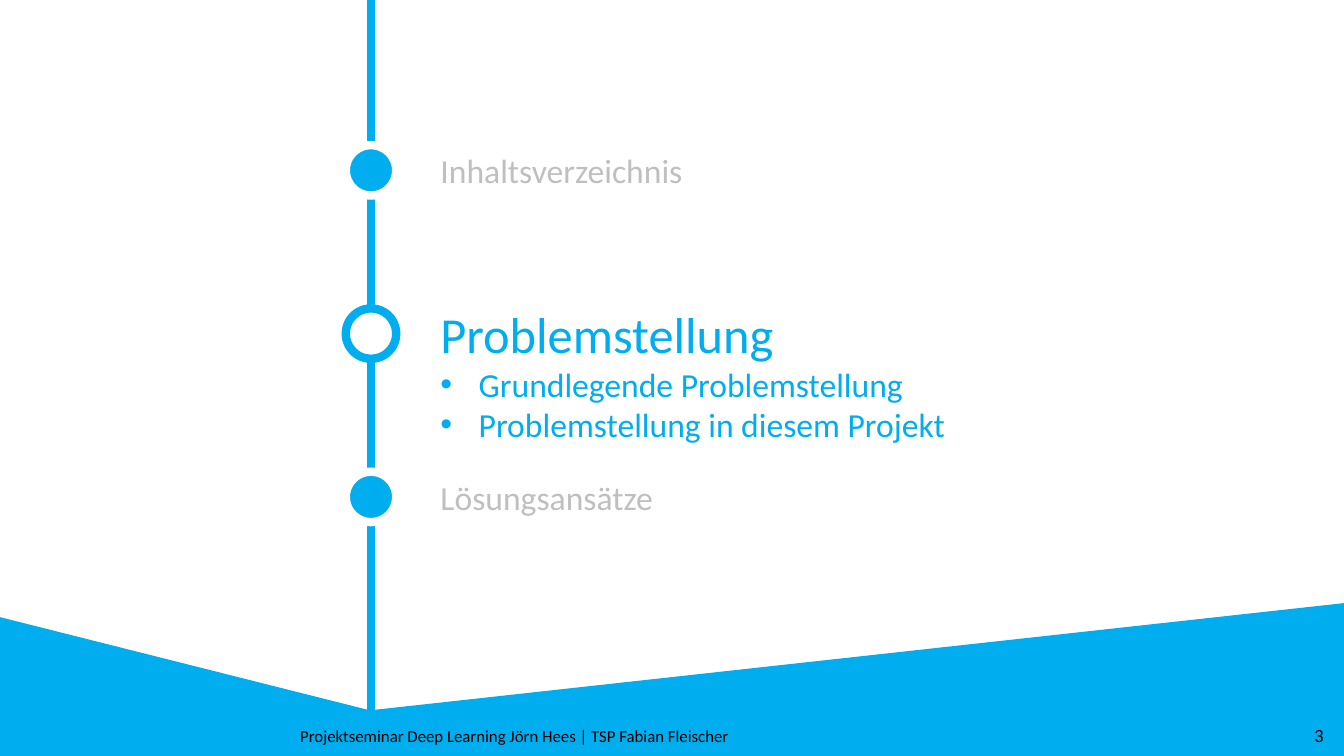
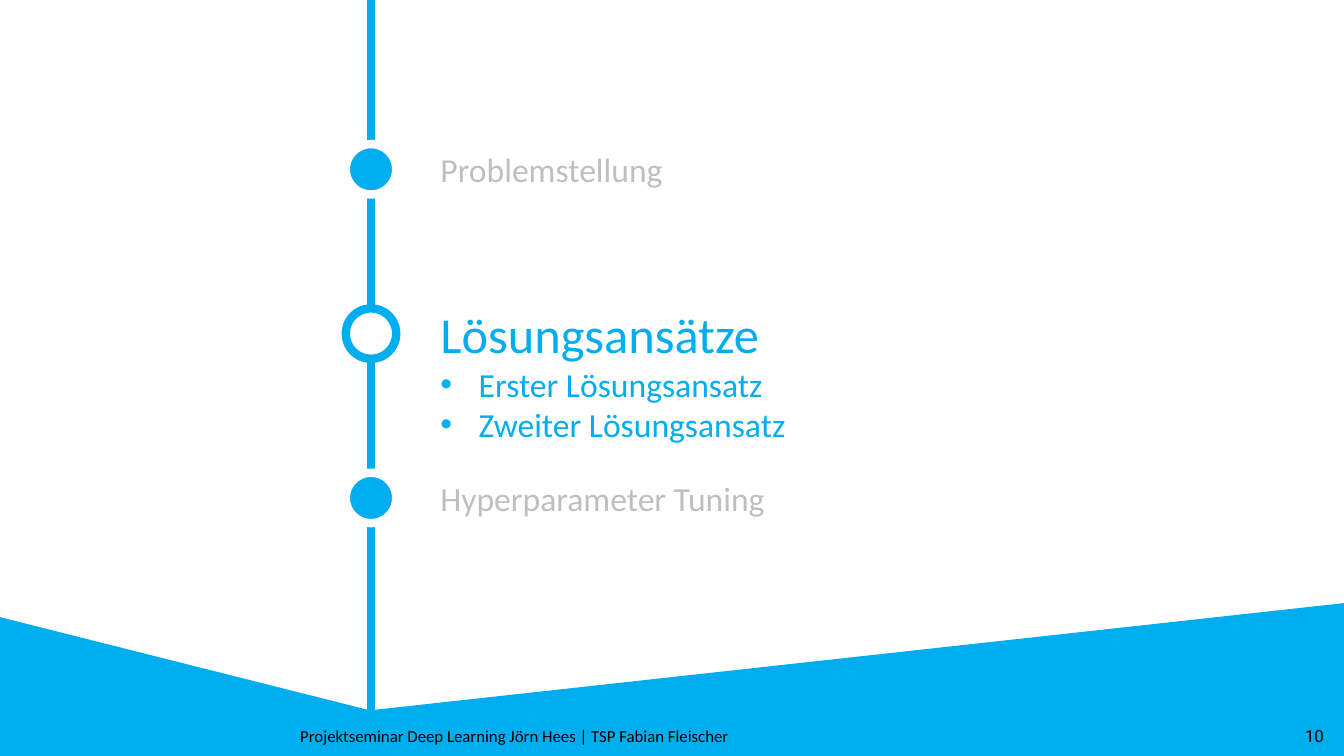
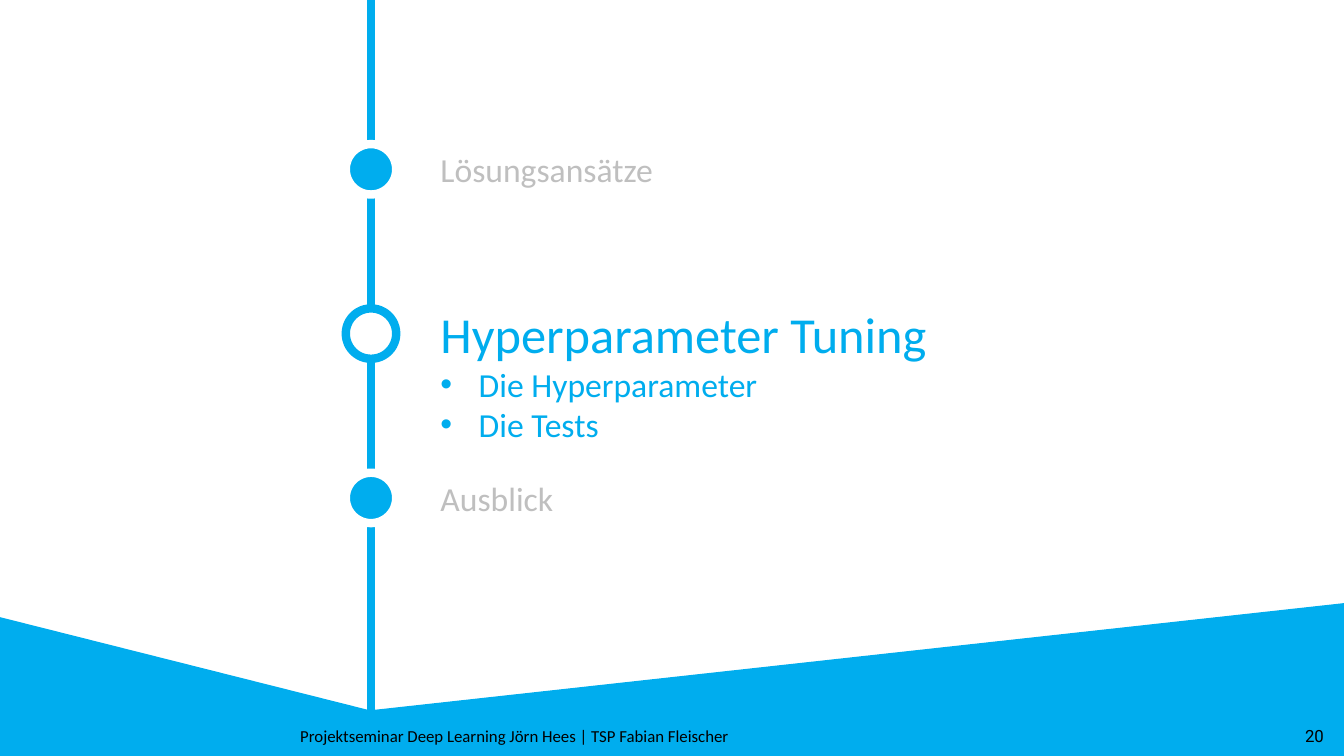
"""Three section slides with a vertical timeline, built with python-pptx."""
from lxml import etree
from pptx import Presentation
from pptx import util as u
from pptx.dml.color import RGBColor
from pptx.enum import shapes, text
from pptx.oxml.ns import qn

BLUE = RGBColor(0x00, 0xAD, 0xEE)
GREY = RGBColor(0xBF, 0xBF, 0xBF)
WHITE = RGBColor(0xFF, 0xFF, 0xFF)
BLACK = RGBColor(0x00, 0x00, 0x00)
SHAPE = shapes.MSO_SHAPE
FOOTER = "Projektseminar Deep Learning Jörn Hees | TSP Fabian Fleischer"
AXIS, DOT, MIDDLE = 3.68, 0.5, 3.06
TEXT_LEFT = 4.27

SECTIONS = [
    ("3", 1.62, "Inhaltsverzeichnis", "Problemstellung",
     ["Grundlegende Problemstellung", "Problemstellung in diesem Projekt"],
     "Lösungsansätze"),
    ("10", 1.63, "Problemstellung", "Lösungsansätze",
     ["Erster Lösungsansatz", "Zweiter Lösungsansatz"],
     "Hyperparameter Tuning"),
    ("20", 1.63, "Lösungsansätze", "Hyperparameter Tuning",
     ["Die Hyperparameter", "Die Tests"],
     "Ausblick"),
]


def add_text(s, content, x, y, w, h, size=24, color=GREY, font="Calibri",
             align=text.PP_ALIGN.LEFT, anchor=text.MSO_ANCHOR.TOP,
             fit=text.MSO_AUTO_SIZE.SHAPE_TO_FIT_TEXT, bullets=()):
    tf = s.shapes.add_textbox(*map(u.Inches, (x, y, w, h))).text_frame
    tf.word_wrap = True
    tf.auto_size = fit
    tf.vertical_anchor = anchor
    for i, line in enumerate([content, *bullets]):
        p = tf.paragraphs[0] if i == 0 else tf.add_paragraph()
        p.alignment = align
        if i:
            pPr = p._p.get_or_add_pPr()
            pPr.set("marL", str(u.Inches(0.38)))
            pPr.set("indent", str(u.Inches(-0.38)))
            etree.SubElement(pPr, qn("a:buFont")).set("typeface", "Arial")
            etree.SubElement(pPr, qn("a:buChar")).set("char", "•")
        r = p.add_run()
        r.text = line
        r.font.size = u.Pt(24 if i else size)
        r.font.name = font
        r.font.color.rgb = color


def add_shape(s, kind, x, y, w, h, fill=BLUE, line=BLUE, width=1):
    sp = s.shapes.add_shape(kind, *map(u.Inches, (x, y, w, h)))
    sp.shadow.inherit = False
    sp.fill.solid()
    sp.fill.fore_color.rgb = fill
    sp.line.color.rgb = line
    sp.line.width = u.Pt(width)
    return sp


prs = Presentation()
prs.slide_width, prs.slide_height = u.Inches(13.33), u.Inches(7.5)

for number, gap, before, current, topics, after in SECTIONS:
    s = prs.slides.add_slide(prs.slide_layouts[6])

    add_shape(s, SHAPE.RECTANGLE, 0, 7.11, 13.33, 0.39)
    add_shape(s, SHAPE.RIGHT_TRIANGLE, 0, 6.13, 3.85, 0.97)
    slope = add_shape(s, SHAPE.RIGHT_TRIANGLE, 3.25, 5.99, 10.08, 1.11)
    slope._element.spPr.find(qn("a:xfrm")).set("flipH", "1")

    footer = dict(size=12, color=BLACK, anchor=text.MSO_ANCHOR.MIDDLE,
                  fit=text.MSO_AUTO_SIZE.NONE)
    add_text(s, FOOTER, 0, 7.1, 10.21, 0.4, align=text.PP_ALIGN.CENTER, **footer)
    add_text(s, number, 10.23, 7.1, 3, 0.4, font="Roboto",
             align=text.PP_ALIGN.RIGHT, **footer)

    axis = s.shapes.add_connector(shapes.MSO_CONNECTOR.STRAIGHT, u.Inches(AXIS), 0,
                                  u.Inches(AXIS), u.Inches(7.23))
    axis.line.color.rgb = BLUE
    axis.line.width = u.Pt(6)
    etree.SubElement(axis._element.spPr, qn("a:effectLst"))

    add_shape(s, SHAPE.FLOWCHART_CONNECTOR, AXIS - DOT / 2, MIDDLE, DOT, DOT,
              fill=WHITE, width=6)
    add_text(s, current, TEXT_LEFT, 2.96, 7.26, 1.51, size=36, color=BLUE,
             bullets=topics)

    for label, y in [(before, MIDDLE - gap), (after, MIDDLE + gap)]:
        add_shape(s, SHAPE.FLOWCHART_CONNECTOR, AXIS - DOT / 2, y, DOT, DOT,
                  line=WHITE, width=6)
        add_text(s, label, TEXT_LEFT, y, 6.68, DOT)

prs.save("out.pptx")
